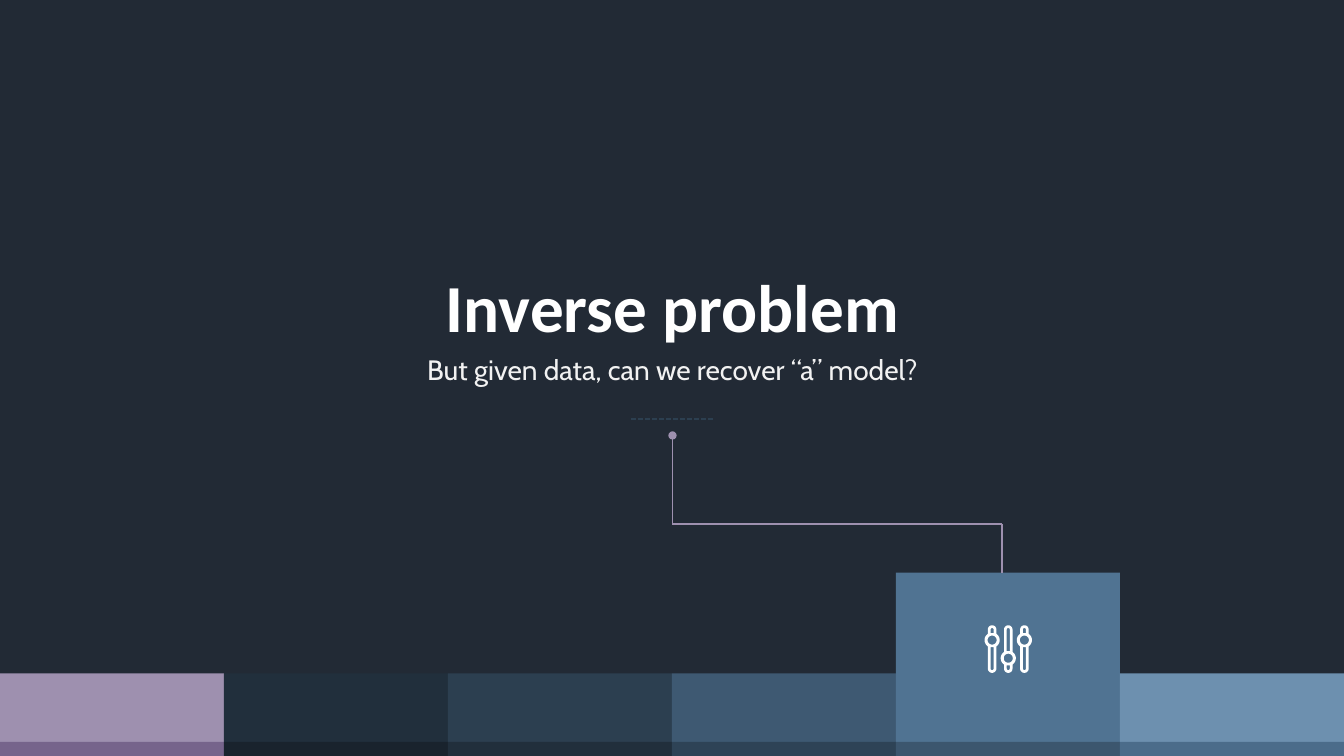
from math import acos, cos, degrees, radians, sin

from lxml.etree import SubElement
from pptx import Presentation
from pptx.dml.color import RGBColor
from pptx.enum.dml import MSO_LINE
from pptx.enum.shapes import MSO_CONNECTOR, MSO_SHAPE
from pptx.enum.text import MSO_AUTO_SIZE, PP_ALIGN
from pptx.oxml.ns import qn
from pptx.util import Inches, Pt

WIDTH, HEIGHT = 13.33, 7.5
NIGHT, SLATE, LILAC, WHITE = "222A35", "2C3F50", "9E90AF", "FFFFFF"

# Tile colour, colour of its bottom edge, top of the tile
TILES = [
    (LILAC, "76648B", 6.68),
    ("212F3C", "19232D", 6.68),
    (SLATE, "212F3C", 6.68),
    ("3E5972", "2E4356", 6.68),
    ("507392", "3C566E", 5.68),
    ("6D90AF", "4B6C8A", 6.68),
]
EDGE_TOP = 7.36

# Centre and knob height of each slider in the icon
SLIDERS = [(9.84, 6.35), (10.0, 6.53), (10.16, 6.35)]


def color(hex_string):
    return RGBColor.from_string(hex_string)


def arc(cx, cy, radius, start, end, steps=16):
    """Points along an arc, angles in degrees, clockwise from the right."""
    angles = [radians(start + (end - start) * i / steps) for i in range(steps + 1)]
    return [(cx + radius * cos(a), cy + radius * sin(a)) for a in angles]


def slider_contours(cx, knob_y):
    """Outer outline of a slider, followed by its three openings."""
    rod, knob, slot, hole, gap = 0.042, 0.075, 0.015, 0.045, 0.07
    cap_top, cap_bottom = 6.245, 6.633
    bend = degrees(acos(rod / knob))
    outline = (
        arc(cx, cap_top, rod, 180, 360)
        + arc(cx, knob_y, knob, -bend, bend)
        + arc(cx, cap_bottom, rod, 0, 180)
        + arc(cx, knob_y, knob, 180 - bend, 180 + bend)
    )
    upper_slot = arc(cx, cap_top, slot, 180, 360) + [
        (cx + slot, knob_y - gap), (cx - slot, knob_y - gap)]
    lower_slot = arc(cx, cap_bottom, slot, 0, 180) + [
        (cx - slot, knob_y + gap), (cx + slot, knob_y + gap)]
    return [outline, upper_slot, lower_slot, arc(cx, knob_y, hole, 0, 360, 32)]


class SlideBuilder:
    def __init__(self, slide, line_width=1.25):
        self.slide = slide
        self.line_width = line_width

    def background(self, fill):
        self.slide.background.fill.solid()
        self.slide.background.fill.fore_color.rgb = color(fill)

    def paint(self, shape, fill):
        shape.shadow.inherit = False
        shape.fill.solid()
        shape.fill.fore_color.rgb = color(fill)
        shape.line.fill.background()

    def rect(self, left, top, width, height, fill):
        box = self.slide.shapes.add_shape(
            MSO_SHAPE.RECTANGLE, Inches(left), Inches(top), Inches(width), Inches(height))
        self.paint(box, fill)

    def line(self, start, end, stroke, dash=None, head=None):
        connector = self.slide.shapes.add_connector(
            MSO_CONNECTOR.STRAIGHT, *(Inches(v) for v in (*start, *end)))
        connector.line.color.rgb = color(stroke)
        connector.line.width = Pt(self.line_width)
        if dash:
            connector.line.dash_style = dash
        properties = connector.element.spPr
        if head:
            SubElement(properties.find(qn("a:ln")), qn("a:headEnd"), type=head)
        SubElement(properties, qn("a:effectLst"))

    def text(self, left, top, width, height, wording, font, size, ink, bold=False, wrap=True):
        box = self.slide.shapes.add_textbox(
            Inches(left), Inches(top), Inches(width), Inches(height))
        frame = box.text_frame
        frame.word_wrap = wrap
        frame.auto_size = MSO_AUTO_SIZE.SHAPE_TO_FIT_TEXT
        paragraph = frame.paragraphs[0]
        paragraph.alignment = PP_ALIGN.CENTER
        run = paragraph.add_run()
        run.text = wording
        run.font.name = font
        run.font.size = Pt(size)
        run.font.bold = bold
        run.font.color.rgb = color(ink)

    def outline(self, contours, fill):
        contours = [[(Inches(x), Inches(y)) for x, y in c] for c in contours]
        builder = self.slide.shapes.build_freeform(*contours[0][0])
        for index, points in enumerate(contours):
            if index:
                builder.move_to(*points[0])
            builder.add_line_segments(points[1:], close=True)
        self.paint(builder.convert_to_shape(), fill)


def main():
    prs = Presentation()
    prs.slide_width, prs.slide_height = Inches(WIDTH), Inches(HEIGHT)
    page = SlideBuilder(prs.slides.add_slide(prs.slide_layouts[6]))
    page.background(NIGHT)

    # Colour strip with darker bottom edges
    tile_width = WIDTH / len(TILES)
    for i, (face, _, top) in enumerate(TILES):
        page.rect(i * tile_width, top, tile_width, HEIGHT - top, face)
    for i, (_, edge, _) in enumerate(TILES):
        page.rect(i * tile_width, EDGE_TOP, tile_width, HEIGHT - EDGE_TOP, edge)

    # Path from the heading to the raised tile
    page.line((9.94, 5.2), (6.67, 5.2), LILAC)
    page.line((9.94, 5.2), (9.94, 5.68), LILAC)

    # Heading
    page.text(4.3, 2.58, 4.74, 0.91, "Inverse problem", "Calibri", 48, WHITE,
              bold=True, wrap=False)
    page.text(2.33, 3.45, 8.68, 0.44, "But given data, can we recover “a” model?",
              "Cabin", 20, "F2F2F2")
    page.line((6.26, 4.16), (7.07, 4.16), SLATE, dash=MSO_LINE.SQUARE_DOT)
    page.line((6.67, 4.32), (6.67, 5.21), LILAC, head="oval")

    # Slider icon
    for centre, knob_y in SLIDERS:
        page.outline(slider_contours(centre, knob_y), WHITE)

    prs.save("out.pptx")


if __name__ == "__main__":
    main()
